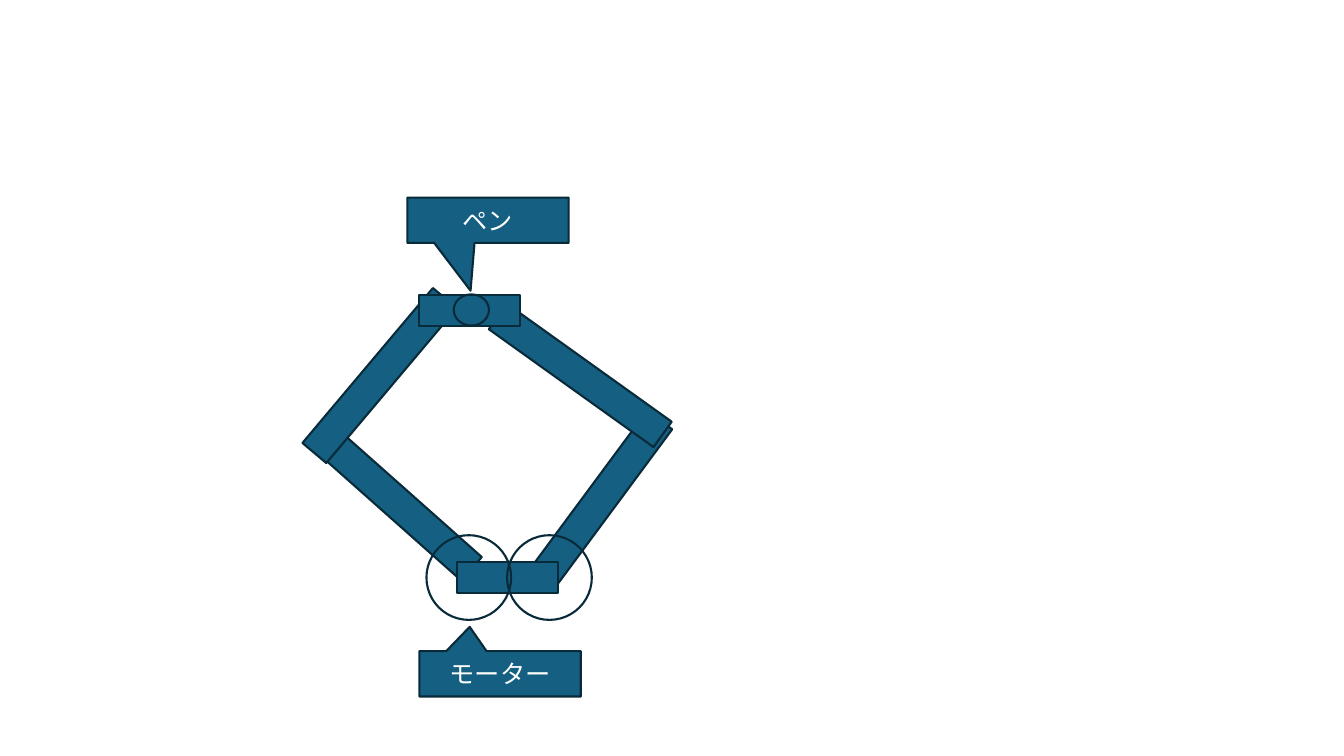
import pptx
import pptx.dml.color
import pptx.enum.shapes
import pptx.enum.text
import pptx.oxml.ns
import pptx.util
from lxml import etree

Inches = pptx.util.Inches
Shape = pptx.enum.shapes.MSO_SHAPE

BLUE = pptx.dml.color.RGBColor(0x15, 0x60, 0x82)
OUTLINE = pptx.dml.color.RGBColor(0x09, 0x2A, 0x39)
WHITE = pptx.dml.color.RGBColor(0xFF, 0xFF, 0xFF)
FONT = "Noto Sans CJK JP"

BAR_WIDTH, ARM_LENGTH, BRACKET_LENGTH = 0.31, 2.01, 1.0
# left, top, length, rotation
BARS = [
    (3.77, 3.97, ARM_LENGTH, 311.6),
    (5.79, 3.97, ARM_LENGTH, 36.5),
    (3.61, 2.72, ARM_LENGTH, 220.1),
    (5.6, 2.72, ARM_LENGTH, 125.6),
    (4.88, 5.23, BRACKET_LENGTH, 90),
    (4.5, 2.58, BRACKET_LENGTH, 90),
]
# left, top, width, height
MOTORS = [(left, 5.31, 0.84, 0.84) for left in (4.23, 5.03)]
PEN = (4.5, 2.92, 0.35, 0.31)

LABEL_SIZE = (1.6, 0.45)
# text, left, top, pointer tip relative to the label centre
LABELS = [
    ("モーター", 4.16, 6.46, (-0.188, -1.036)),
    ("ペン", 4.04, 1.96, (-0.108, 1.554)),
]


def add_part(slide, kind, box, fill=None):
    part = slide.shapes.add_shape(kind, *(Inches(length) for length in box))
    part.shadow.inherit = False
    if fill is None:
        part.fill.background()
    else:
        part.fill.solid()
        part.fill.fore_color.rgb = fill
    part.line.color.rgb = OUTLINE
    part.line.width = pptx.util.Pt(1.5)
    return part


def add_label(slide, text, left, top, tip):
    label = add_part(slide, Shape.RECTANGULAR_CALLOUT, (left, top, *LABEL_SIZE), BLUE)
    label.adjustments[0], label.adjustments[1] = tip
    frame = label.text_frame
    frame.word_wrap = True
    frame.vertical_anchor = pptx.enum.text.MSO_ANCHOR.MIDDLE
    paragraph = frame.paragraphs[0]
    paragraph.alignment = pptx.enum.text.PP_ALIGN.CENTER
    run = paragraph.add_run()
    run.text = text
    run.font.size = pptx.util.Pt(18)
    run.font.name = FONT
    run.font.color.rgb = WHITE
    # Japanese glyphs take the East Asian typeface
    east_asian = etree.SubElement(run.font._element, pptx.oxml.ns.qn("a:ea"))
    east_asian.set("typeface", FONT)


def main():
    deck = pptx.Presentation()
    deck.slide_width, deck.slide_height = Inches(13.33), Inches(7.5)
    slide = deck.slides.add_slide(deck.slide_layouts[6])

    for left, top, length, rotation in BARS:
        bar = add_part(slide, Shape.RECTANGLE, (left, top, BAR_WIDTH, length), BLUE)
        bar.rotation = rotation
    for circle in [*MOTORS, PEN]:
        add_part(slide, Shape.OVAL, circle)
    for label in LABELS:
        add_label(slide, *label)

    deck.save("out.pptx")


if __name__ == "__main__":
    main()
